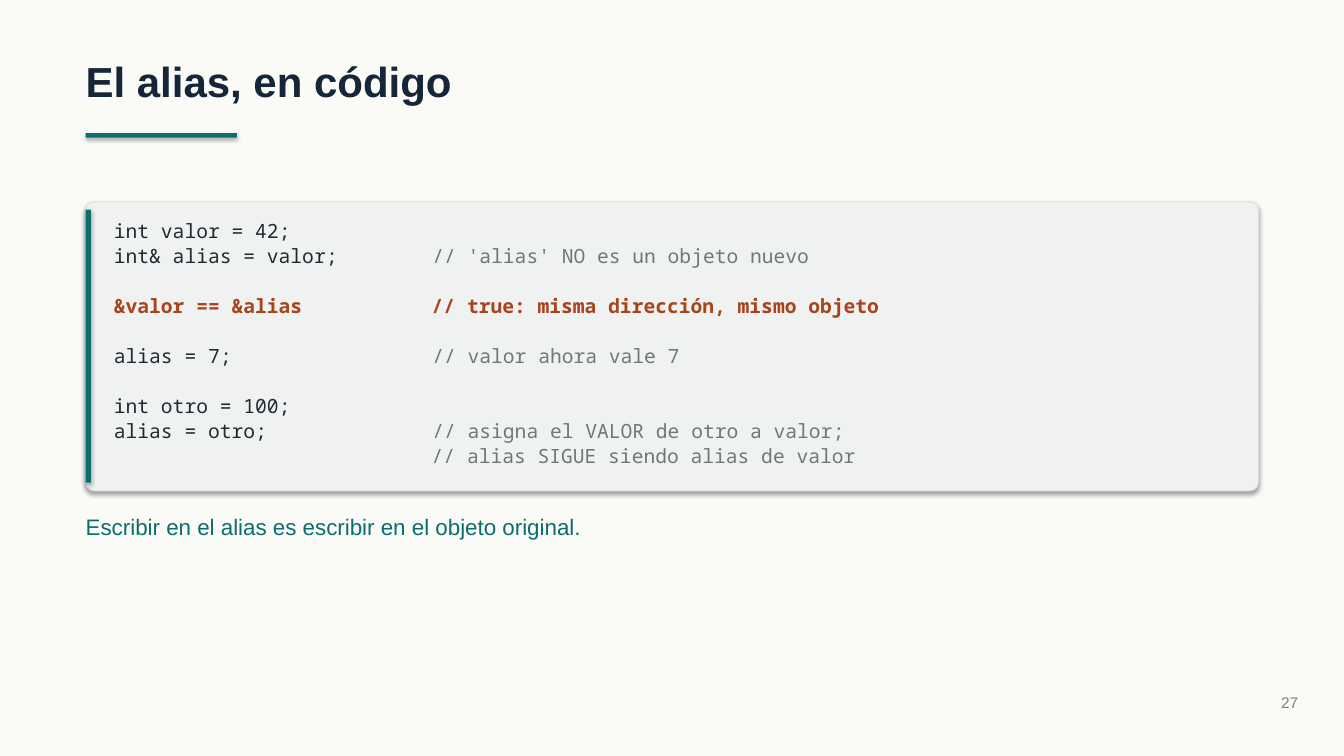
"""Build the slide that shows a C++ reference acting as an alias."""
from dataclasses import dataclass

from pptx import Presentation
from pptx.dml.color import RGBColor
from pptx.enum.shapes import MSO_SHAPE
from pptx.enum.text import MSO_ANCHOR, MSO_AUTO_SIZE, PP_ALIGN
from pptx.util import Pt

RECTANGLE = MSO_SHAPE.RECTANGLE
ROUNDED = MSO_SHAPE.ROUNDED_RECTANGLE
TOP = MSO_ANCHOR.TOP
NO_AUTOFIT = MSO_AUTO_SIZE.NONE
LEFT, RIGHT = PP_ALIGN.LEFT, PP_ALIGN.RIGHT

TITLE = "El alias, en código"
CODE_BLOCKS = [
    [("int valor = 42;", ""),
     ("int& alias = valor;", "// 'alias' NO es un objeto nuevo")],
    [("&valor == &alias", "// true: misma dirección, mismo objeto")],
    [("alias = 7;", "// valor ahora vale 7")],
    [("int otro = 100;", ""),
     ("alias = otro;", "// asigna el VALOR de otro a valor;"),
     ("", "// alias SIGUE siendo alias de valor")],
]
HIGHLIGHTED = "&valor == &alias"
COMMENT_COLUMN = 27
TAKEAWAY = "Escribir en el alias es escribir en el objeto original."
PAGE_NUMBER = "27"


@dataclass(frozen=True)
class Theme:
    """Colours, fonts and type sizes."""
    background: str = "FAFAF7"
    heading: str = "142638"
    teal: str = "0B6E6E"
    panel: str = "F0F2F1"
    panel_edge: str = "DDE2E0"
    code: str = "1E2B33"
    comment: str = "6B7A74"
    highlight: str = "A8431B"
    page: str = "74828C"
    sans: str = "Arial"
    mono: str = "Noto Sans Mono"
    title_size: float = 30
    code_size: float = 14
    takeaway_size: float = 16
    page_size: float = 11
    code_spacing: float = 1.06
    code_gap: float = 17.9


THEME = Theme()
SLIDE_WIDTH, SLIDE_HEIGHT = 960, 540
MARGIN = 61.2
CONTENT_WIDTH = SLIDE_WIDTH - 2 * MARGIN
PANEL_TOP, PANEL_HEIGHT = 144, 206.6
BAR_INSET = 5.76
CODE_INDENT, CODE_INSET = 20.2, 11.5


def colour(value):
    """Turn a hex string into a colour."""
    return RGBColor.from_string(value)


def format_run(run, font, size, hue, bold=False):
    """Apply type settings to a run."""
    run.font.name = font
    run.font.size = Pt(size)
    run.font.color.rgb = colour(hue)
    run.font.bold = bold


def prepare_frame(frame):
    """Remove insets and let the text wrap from the top."""
    frame.margin_left = frame.margin_right = 0
    frame.margin_top = frame.margin_bottom = 0
    frame.word_wrap = True
    frame.auto_size = NO_AUTOFIT
    frame.vertical_anchor = TOP


def add_frame(slide, *box):
    """Add a text box and return its prepared frame."""
    frame = slide.shapes.add_textbox(*map(Pt, box)).text_frame
    prepare_frame(frame)
    return frame


def fill_line(frame, wording, size, hue, bold=False, align=LEFT):
    """Write one formatted line of sans text."""
    frame.text = wording
    paragraph = frame.paragraphs[0]
    paragraph.alignment = align
    format_run(paragraph.runs[0], THEME.sans, size, hue, bold)


def add_block(slide, preset, fill, *box):
    """Add a borderless filled shape that keeps the theme shadow."""
    block = slide.shapes.add_shape(preset, *map(Pt, box))
    block.fill.solid()
    block.fill.fore_color.rgb = colour(fill)
    block.line.fill.background()
    return block


def add_title(slide):
    """Place the title and its underline."""
    title = slide.shapes.title
    title.left, title.top = Pt(MARGIN), Pt(39.6)
    title.width, title.height = Pt(CONTENT_WIDTH), Pt(36)
    prepare_frame(title.text_frame)
    fill_line(title.text_frame, TITLE, THEME.title_size, THEME.heading, True)
    add_block(slide, RECTANGLE, THEME.teal, MARGIN, 95.04, 108, 3.2)


def add_code_panel(slide):
    """Draw the panel with its side bar."""
    panel = add_block(slide, ROUNDED, THEME.panel,
                      MARGIN, PANEL_TOP, CONTENT_WIDTH, PANEL_HEIGHT)
    panel.adjustments[0] = 0.03
    panel.line.color.rgb = colour(THEME.panel_edge)
    panel.line.width = Pt(0.75)
    add_block(slide, RECTANGLE, THEME.teal, MARGIN, PANEL_TOP + BAR_INSET,
              3.8, PANEL_HEIGHT - 2 * BAR_INSET)


def add_code(slide):
    """Write the code with comments aligned on one column."""
    frame = add_frame(slide, MARGIN + CODE_INDENT, PANEL_TOP + CODE_INSET,
                      CONTENT_WIDTH - 1.6 * CODE_INDENT, 178)
    paragraph = None
    for block in CODE_BLOCKS:
        for row, (statement, comment) in enumerate(block):
            is_first = paragraph is None
            paragraph = frame.paragraphs[0] if is_first else frame.add_paragraph()
            paragraph.line_spacing = THEME.code_spacing
            if row == 0 and not is_first:
                paragraph.space_before = Pt(THEME.code_gap)
            marked = statement == HIGHLIGHTED
            padded = statement.ljust(COMMENT_COLUMN) if comment else statement
            parts = [(padded, THEME.code), (comment, THEME.comment)]
            if marked:
                parts = [(padded + comment, THEME.highlight)]
            elif not statement:
                parts = [(padded + comment, THEME.comment)]
            for wording, hue in parts:
                if wording:
                    run = paragraph.add_run()
                    run.text = wording
                    format_run(run, THEME.mono, THEME.code_size, hue, marked)


def main():
    """Assemble and save the slide."""
    deck = Presentation()
    deck.slide_width, deck.slide_height = Pt(SLIDE_WIDTH), Pt(SLIDE_HEIGHT)
    slide = deck.slides.add_slide(deck.slide_layouts[5])
    slide.background.fill.solid()
    slide.background.fill.fore_color.rgb = colour(THEME.background)
    add_title(slide)
    add_code_panel(slide)
    add_code(slide)
    takeaway = add_frame(slide, MARGIN, 366.5, CONTENT_WIDTH, 19.4)
    fill_line(takeaway, TAKEAWAY, THEME.takeaway_size, THEME.teal)
    page = add_frame(slide, 862.6, 495.4, 64.8, 13)
    fill_line(page, PAGE_NUMBER, THEME.page_size, THEME.page, align=RIGHT)
    deck.save("out.pptx")


if __name__ == "__main__":
    main()
